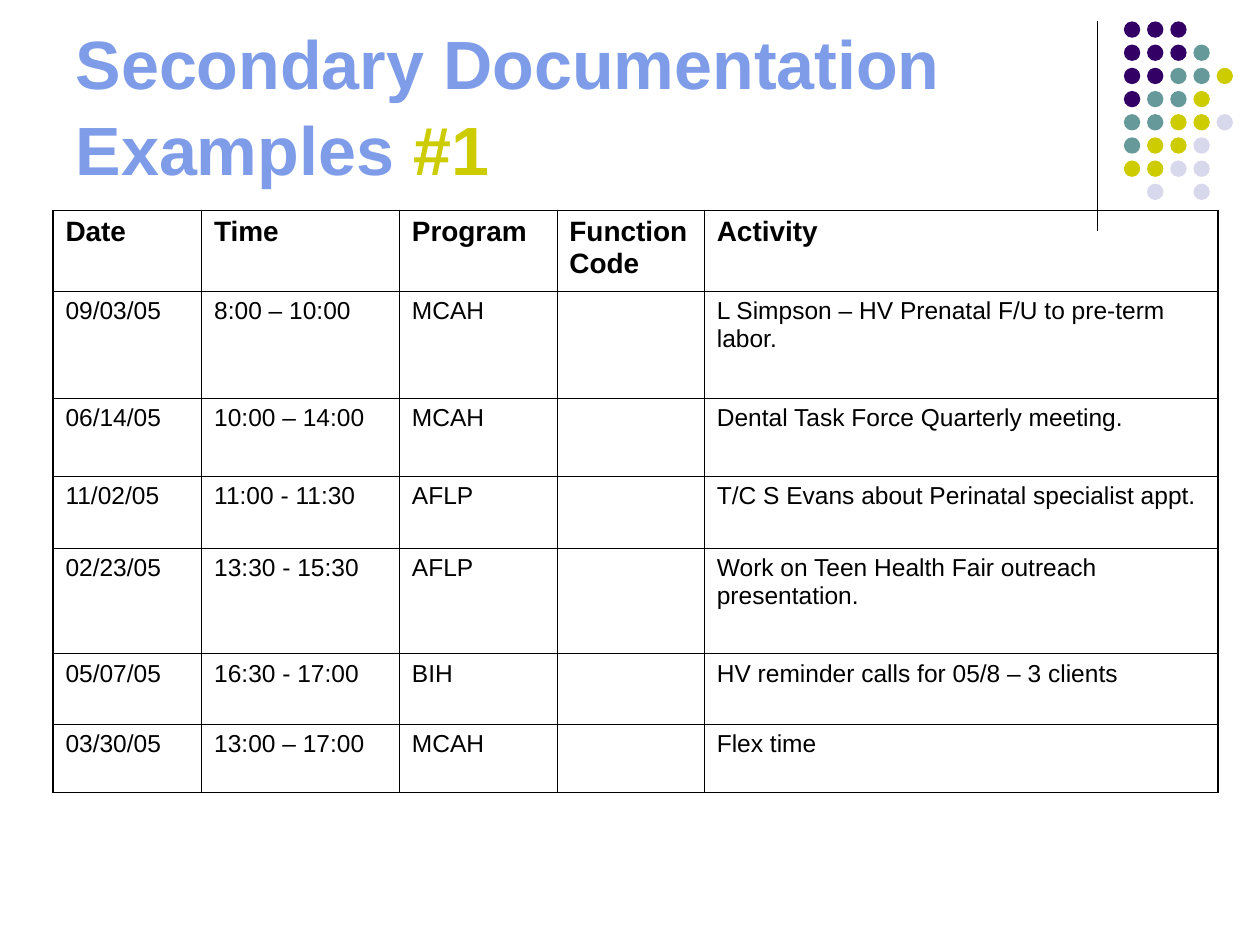
from dataclasses import dataclass

from lxml.etree import SubElement as Sub
from pptx import Presentation as Deck
from pptx.dml.color import RGBColor as Rgb
from pptx.enum.shapes import MSO_CONNECTOR as Link, MSO_SHAPE as Form
from pptx.enum.text import MSO_ANCHOR as Anchor, MSO_AUTO_SIZE as Fit, PP_ALIGN as Align
from pptx.oxml.ns import qn
from pptx.util import Inches, Pt

HUES = {
    "ink": "000000",
    "title": "7E9CE8",
    "plum": "330066",
    "teal": "669999",
    "lime": "CCCC00",
    "mist": "D8D8EC",
}
CODES = {"P": "plum", "T": "teal", "L": "lime", "M": "mist"}
DOTS = ["PPP", "PPPT", "PPTTL", "PTTL", "TTLLM", "TLLM", "LLMM", " M M"]
SIZE, STEP = 0.13, 0.184
THIN, THICK = 0.45, 1.08
COLS = [1.18, 1.57, 1.25, 1.17, 4.08]
HEADS = ["Date", "Time", "Program", "Function Code", "Activity"]


@dataclass
class Entry:
    high: float
    date: str
    time: str
    group: str
    task: str


@dataclass
class Dot:
    left: float
    top: float
    hue: str


LOG = [
    Entry(0.85, "09/03/05", "8:00 – 10:00", "MCAH", "L Simpson – HV Prenatal F/U to pre-term labor."),
    Entry(0.62, "06/14/05", "10:00 – 14:00", "MCAH", "Dental Task Force Quarterly meeting."),
    Entry(0.57, "11/02/05", "11:00 - 11:30", "AFLP", "T/C S Evans about Perinatal specialist appt."),
    Entry(0.84, "02/23/05", "13:30 - 15:30", "AFLP", "Work on Teen Health Fair outreach presentation."),
    Entry(0.56, "05/07/05", "16:30 - 17:00", "BIH", "HV reminder calls for 05/8 – 3 clients"),
    Entry(0.54, "03/30/05", "13:00 – 17:00", "MCAH", "Flex time"),
]


def paint(hue: str) -> Rgb:
    return Rgb.from_string(HUES[hue])


def write(para, text: str, *, size: float, hue: str = "ink", bold: bool = False) -> None:
    run = para.add_run()
    run.text = text
    font = run.font
    font.name, font.size, font.bold = "Arial", Pt(size), bold
    font.color.rgb = paint(hue)


def draw_rule(slide) -> None:
    x = Inches(8.71)
    rule = slide.shapes.add_connector(Link.STRAIGHT, x, Inches(0.17), x, Inches(1.83))
    rule.line.width = Pt(0.75)
    rule.line.color.rgb = paint("ink")
    Sub(rule._element.spPr, qn("a:effectLst"))


def draw_dot(group, dot: Dot) -> None:
    shape = group.shapes.add_shape(
        Form.OVAL, Inches(dot.left), Inches(dot.top), Inches(SIZE), Inches(SIZE))
    shape.shadow.inherit = False
    shape.fill.solid()
    shape.fill.fore_color.rgb = paint(dot.hue)
    shape.line.fill.background()


def draw_title(slide) -> None:
    title = slide.shapes.title
    title.left, title.top = Inches(0.5), Inches(0.13)
    title.width, title.height = Inches(8.25), Inches(1.42)
    slide.shapes._spTree.append(title._element)
    frame = title.text_frame
    frame.auto_size = Fit.NONE
    frame.word_wrap = True
    frame.vertical_anchor = Anchor.BOTTOM
    para = frame.paragraphs[0]
    para.alignment = Align.LEFT
    para.line_spacing = 1.05
    write(para, "Secondary Documentation ", size=39, hue="title", bold=True)
    para.add_line_break()
    write(para, "Examples ", size=39, hue="title", bold=True)
    write(para, "#1", size=39, hue="lime", bold=True)


def edge(cell, widths: dict[str, float]) -> None:
    props = cell._tc.get_or_add_tcPr()
    for side, width in widths.items():
        line = Sub(props, qn(f"a:ln{side}"), w=str(int(Pt(width))))
        fill = Sub(line, qn("a:solidFill"))
        Sub(fill, qn("a:srgbClr"), val=HUES["ink"])


def draw_table(slide) -> None:
    rows = [HEADS] + [[e.date, e.time, e.group, "", e.task] for e in LOG]
    highs = [0.64] + [e.high for e in LOG]
    table = slide.shapes.add_table(
        len(rows), len(COLS), Inches(0.42), Inches(1.67),
        Inches(sum(COLS)), Inches(sum(highs))).table
    table.first_row = table.horz_banding = False
    for col, width in zip(table.columns, COLS):
        col.width = Inches(width)
    for row, high in zip(table.rows, highs):
        row.height = Inches(high)
    for r, texts in enumerate(rows):
        for c, text in enumerate(texts):
            cell = table.cell(r, c)
            ends = {"L": c == 0, "R": c == len(COLS) - 1, "T": r == 0, "B": r == len(rows) - 1}
            edge(cell, {side: THICK if end else THIN for side, end in ends.items()})
            cell.fill.background()
            if text:
                write(cell.text_frame.paragraphs[0], text, size=14 if r else 16, bold=r == 0)


def main() -> None:
    deck = Deck()
    deck.slide_width, deck.slide_height = Inches(10), Inches(7.5)
    slide = deck.slides.add_slide(deck.slide_layouts[5])
    draw_rule(slide)
    group = slide.shapes.add_group_shape()
    for r, codes in enumerate(DOTS):
        for c, code in enumerate(codes):
            if code in CODES:
                draw_dot(group, Dot(8.92 + c * STEP, 0.17 + r * STEP, CODES[code]))
    draw_title(slide)
    draw_table(slide)
    deck.save("out.pptx")


if __name__ == "__main__":
    main()
